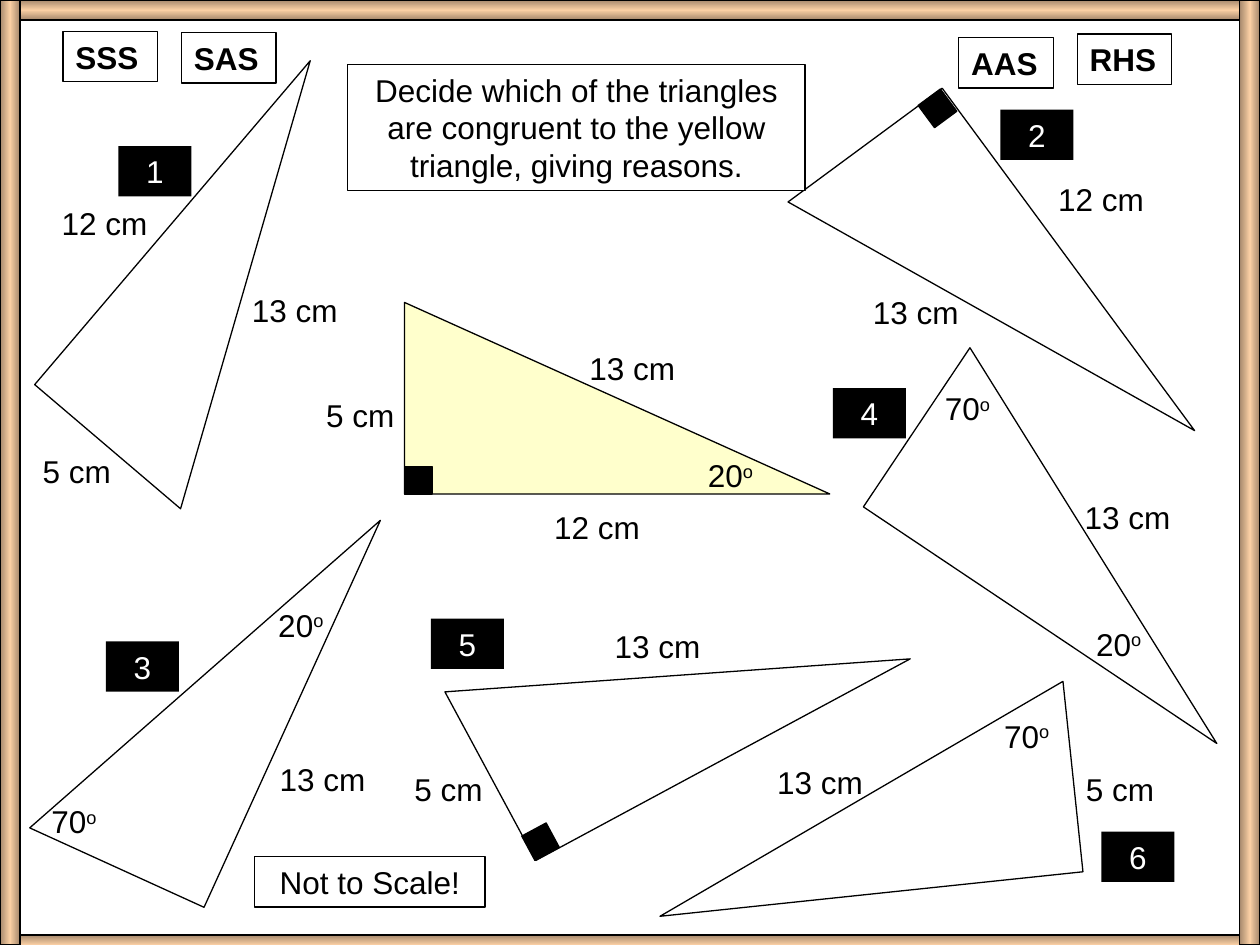
import copy
from dataclasses import dataclass

import pptx
import pptx.dml.color
import pptx.enum.shapes
import pptx.enum.text
import pptx.oxml.ns
import pptx.util

SHAPE = pptx.enum.shapes.MSO_SHAPE
ALIGN = pptx.enum.text.PP_ALIGN
COLUMNS, ROWS = 100, 75


@dataclass(frozen=True)
class Theme:
    ink: str = "000000"
    paper: str = "FFFFFF"
    highlight: str = "FFFFCC"
    wood: tuple = ("A5886C", "FACFA4", "A5886C")
    font: str = "Arial"
    size: int = 18
    outline: float = 0.75


class Worksheet:
    def __init__(self, theme):
        self.theme = theme
        self.deck = pptx.Presentation()
        self.deck.slide_width = pptx.util.Inches(10)
        self.deck.slide_height = pptx.util.Inches(7.5)
        self.slide = self.deck.slides.add_slide(self.deck.slide_layouts[5])

    def place(self, left, top, width, height):
        column = self.deck.slide_width / COLUMNS
        row = self.deck.slide_height / ROWS
        return (round(left * column), round(top * row),
                round(width * column), round(height * row))

    def color(self, value):
        return pptx.dml.color.RGBColor.from_string(value)

    def paint(self, shape, fill=None, outlined=True):
        if fill:
            shape.fill.solid()
            shape.fill.fore_color.rgb = self.color(fill)
        else:
            shape.fill.background()
        if outlined:
            shape.line.color.rgb = self.color(self.theme.ink)
            shape.line.width = pptx.util.Pt(self.theme.outline)
        else:
            shape.line.fill.background()

    def figure(self, kind, box, fill=None, outlined=True, angle=0, flipped=False):
        shape = self.slide.shapes.add_shape(kind, *self.place(*box))
        shape.shadow.inherit = False
        self.paint(shape, fill, outlined)
        shape.rotation = angle
        if flipped:
            shape._element.spPr.find(pptx.oxml.ns.qn("a:xfrm")).set("flipV", "1")
        return shape

    def add_words(self, shape, text, align=ALIGN.LEFT, color=None, bold=False, raised=""):
        frame = shape.text_frame
        frame.word_wrap = True
        frame.auto_size = pptx.enum.text.MSO_AUTO_SIZE.NONE
        frame.vertical_anchor = pptx.enum.text.MSO_ANCHOR.TOP
        frame.margin_left = frame.margin_right = pptx.util.Inches(0.1)
        frame.margin_top = frame.margin_bottom = pptx.util.Inches(0.05)
        paragraph = frame.paragraphs[0]
        paragraph.alignment = align
        for part in filter(None, (text, raised)):
            run = paragraph.add_run()
            run.text = part
            run.font.name = self.theme.font
            run.font.size = pptx.util.Pt(self.theme.size)
            run.font.bold = bold
            run.font.color.rgb = self.color(color or self.theme.ink)
        if raised:
            run.font._element.set("baseline", "30000")

    def triangle(self, left, top, angle=0, flipped=False, fill=None):
        self.figure(SHAPE.RIGHT_TRIANGLE, (left, top, 33.75, 15.2),
                    fill or self.theme.paper, angle=angle, flipped=flipped)

    def right_angle(self, left, top, angle=0):
        self.figure(SHAPE.RECTANGLE, (left, top, 2.2, 2.2), self.theme.ink, angle=angle)

    def label(self, left, top, width, text, raised=""):
        box = self.slide.shapes.add_textbox(*self.place(left, top, width, 4))
        self.add_words(box, text, raised=raised)

    def side(self, left, top, length):
        self.label(left, top, 10.5 if length > 9 else 8.7, f"{length} cm")

    def angle(self, left, top, degrees):
        self.label(left, top, 6.5, str(degrees), raised="o")

    def instruction(self, box, text):
        title = self.slide.shapes.title
        title.left, title.top, title.width, title.height = self.place(*box)
        self.paint(title, self.theme.paper)
        self.add_words(title, text, ALIGN.CENTER)
        self.slide.shapes._spTree.append(title._element)

    def reason(self, left, top, text):
        box = self.figure(SHAPE.RECTANGLE, (left, top, 7.5, 4), self.theme.paper)
        self.add_words(box, text, bold=True)

    def number(self, left, top, value):
        tag = self.figure(SHAPE.RECTANGLE, (left, top, 5.8, 4), self.theme.ink, outlined=False)
        self.add_words(tag, str(value), ALIGN.CENTER, self.theme.paper)

    def caption(self, box, text):
        self.add_words(self.figure(SHAPE.RECTANGLE, box), text, ALIGN.CENTER)

    def frame_bar(self, box, angle):
        bar = self.figure(SHAPE.RECTANGLE, box)
        bar.fill.gradient()
        bar.fill.gradient_angle = angle
        stops = bar._element.spPr.find(".//" + pptx.oxml.ns.qn("a:gsLst"))
        stops.insert(1, copy.deepcopy(stops[0]))
        for index, stop in enumerate(bar.fill.gradient_stops):
            stop.position = index / 2
            stop.color.rgb = self.color(self.theme.wood[index])


TRIANGLES = [
    (61.8, 17.5, 53.6, True),
    (-0.6, 45.9, 294.5, False),
    (2.6, 15, 310.4, True),
    (36.9, 46, 331.7, False),
    (51.5, 55.8, 174, True),
    (69.9, 35.7, 33.8, False),
]
RIGHT_ANGLES = [(32.1, 37, 0), (73.3, 7.5, 53.6), (41.8, 65.7, 331.7)]
SIDES = [
    (24.9, 30.9, 5), (43, 39.8, 12), (45.8, 27.2, 13),
    (21.2, 59.8, 13),
    (68.3, 22.8, 13), (83, 13.8, 12),
    (19, 22.6, 13), (3.9, 15.7, 12), (2.4, 35.4, 5),
    (31.9, 60.6, 5), (47.8, 49.3, 13),
    (85.2, 60.6, 5), (60.7, 60.1, 13),
    (85.1, 39, 13),
]
ANGLES = [
    (55.2, 35.7, 20), (21.1, 47.6, 20), (3.1, 63.2, 70),
    (78.7, 56.4, 70), (74, 30.4, 70), (86, 49.1, 20),
]
REASONS = [(5, 2.5, "SSS"), (14.4, 2.6, "SAS"), (76.1, 3, "AAS"), (85.5, 2.7, "RHS")]
NUMBERS = [(9.4, 11.6), (79.4, 8.7), (8.4, 50.9), (66.1, 30.8), (34.2, 49.1), (87.4, 66)]
BAR = 1.6


def main():
    theme = Theme()
    sheet = Worksheet(theme)
    sheet.triangle(32.1, 24, fill=theme.highlight)
    for triangle in TRIANGLES:
        sheet.triangle(*triangle)
    for corner in RIGHT_ANGLES:
        sheet.right_angle(*corner)
    for side in SIDES:
        sheet.side(*side)
    for angle in ANGLES:
        sheet.angle(*angle)
    sheet.instruction(
        (27.6, 5.1, 36.3, 10),
        "Decide which of the triangles are congruent to the yellow triangle, giving reasons.")
    for reason in REASONS:
        sheet.reason(*reason)
    for top in (0, ROWS - BAR / 2):
        sheet.frame_bar((0, top, COLUMNS, BAR), 90)
    for left in (0, COLUMNS - BAR):
        sheet.frame_bar((left, 0, BAR, ROWS), 0)
    for value, (left, top) in enumerate(NUMBERS, 1):
        sheet.number(left, top, value)
    sheet.caption((20.2, 68, 18.3, 4), "Not to Scale!")
    sheet.deck.save("out.pptx")


if __name__ == "__main__":
    main()
